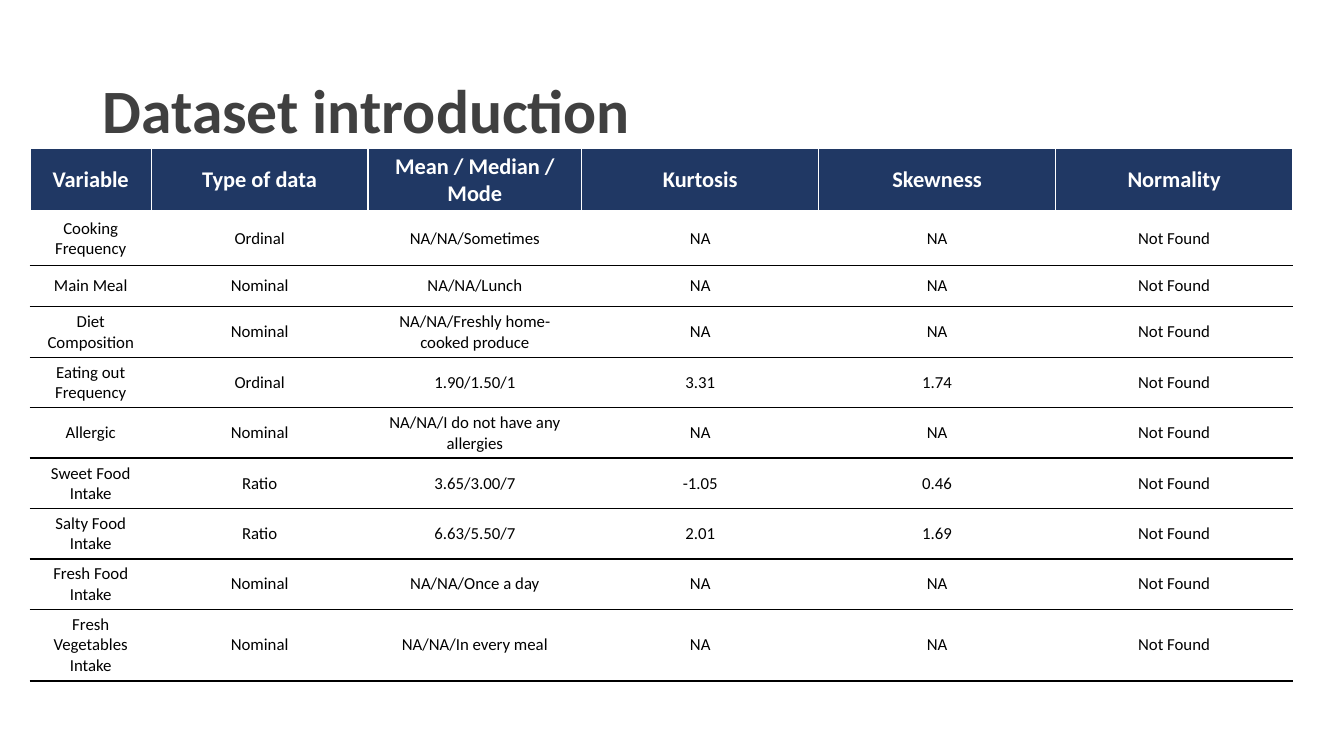
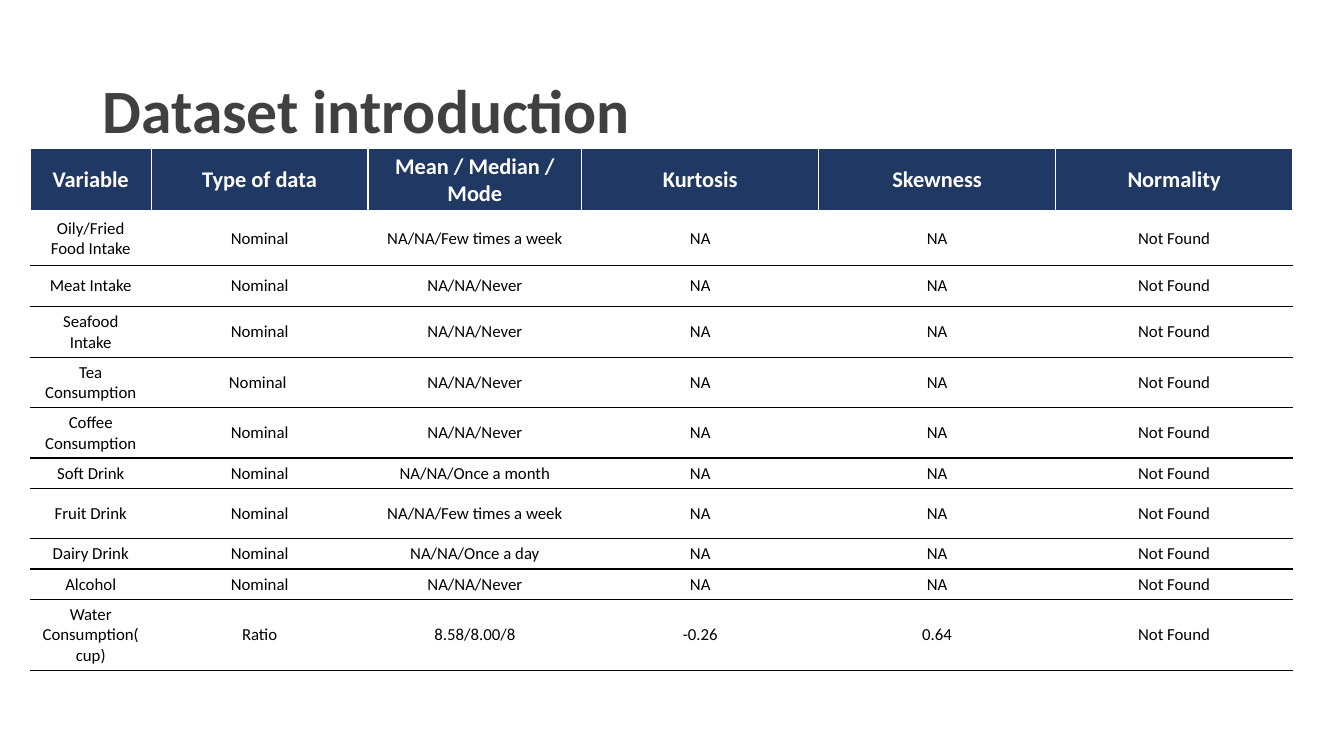
from dataclasses import dataclass
from lxml.etree import SubElement
from pptx import Presentation
from pptx.dml.color import RGBColor as RGB
from pptx.enum.text import MSO_ANCHOR as ANCHOR, PP_ALIGN as ALIGN
from pptx.oxml.ns import qn
from pptx.util import Inches, Pt


@dataclass(frozen=True)
class Theme:
    font: str = "Calibri"
    title: str = "404040"
    navy: str = "203864"
    white: str = "FFFFFF"
    black: str = "000000"
    title_size: int = 44
    head_size: int = 16
    body_size: int = 12


T = Theme()


def style(p, size, color, bold):
    p.font.name, p.font.size, p.font.bold = T.font, Pt(size), bold
    p.font.color.rgb = RGB.from_string(color)


def set_borders(cell, **sides):
    tcPr = cell._tc.get_or_add_tcPr()
    for i, side in enumerate("LRTB"):
        color, width = sides.get(side, (T.white, 1))
        ln = SubElement(tcPr, qn(f"a:ln{side}"), w=str(Pt(width)))
        SubElement(SubElement(ln, qn("a:solidFill")), qn("a:srgbClr"), val=color)
        tcPr.insert(i, ln)


HEAD = ["Variable", "Type of data", "Mean / Median / Mode", "Kurtosis", "Skewness", "Normality"]
COLS = [1.2, 2.15, 2.12, 2.35, 2.35, 2.35]
HEAD_ROW = 0.63
NO_SHAPE = ("NA", "NA")

SLIDES = [
    [
        (0.53, "Cooking Frequency", "Ordinal", "NA/NA/Sometimes", *NO_SHAPE),
        (0.41, "Main Meal", "Nominal", "NA/NA/Lunch", *NO_SHAPE),
        (0.5, "Diet Composition", "Nominal", "NA/NA/Freshly home-cooked produce", *NO_SHAPE),
        (0.5, "Eating out Frequency", "Ordinal", "1.90/1.50/1", "3.31", "1.74"),
        (0.5, "Allergic", "Nominal", "NA/NA/I do not have any allergies", *NO_SHAPE),
        (0.5, "Sweet Food Intake", "Ratio", "3.65/3.00/7", "-1.05", "0.46"),
        (0.5, "Salty Food\nIntake", "Ratio", "6.63/5.50/7", "2.01", "1.69"),
        (0.5, "Fresh Food Intake", "Nominal", "NA/NA/Once a day", *NO_SHAPE),
        (0.71, "Fresh Vegetables Intake", "Nominal", "NA/NA/In every meal", *NO_SHAPE),
    ],
    [
        (0.53, "Oily/Fried Food Intake", "Nominal", "NA/NA/Few times a week", *NO_SHAPE),
        (0.41, "Meat Intake", "Nominal", "NA/NA/Never", *NO_SHAPE),
        (0.39, "Seafood Intake", "Nominal", "NA/NA/Never", *NO_SHAPE),
        (0.5, "Tea Consumption", "Nominal ", "NA/NA/Never", *NO_SHAPE),
        (0.5, "Coffee Consumption", "Nominal", "NA/NA/Never", *NO_SHAPE),
        (0.3, "Soft Drink", "Nominal", "NA/NA/Once a month", *NO_SHAPE),
        (0.5, "Fruit Drink", "Nominal", "NA/NA/Few times a week", *NO_SHAPE),
        (0.3, "Dairy Drink", "Nominal", "NA/NA/Once a day", *NO_SHAPE),
        (0.3, "Alcohol", "Nominal", "NA/NA/Never", *NO_SHAPE),
        (0.71, "Water Consumption(cup)", "Ratio", "8.58/8.00/8", "-0.26", "0.64"),
    ],
]

prs = Presentation()
prs.slide_width, prs.slide_height = Inches(13.33), Inches(7.5)

for variables in SLIDES:
    s = prs.slides.add_slide(prs.slide_layouts[6])

    sp = s.shapes.add_textbox(Inches(0.92), Inches(0.4), Inches(11.5), Inches(1.45))
    tf = sp.text_frame
    tf.word_wrap, tf.vertical_anchor = True, ANCHOR.MIDDLE
    p = tf.paragraphs[0]
    p.text, p.line_spacing = "Dataset introduction", 0.9
    style(p, T.title_size, T.title, True)

    rows = [HEAD] + [[*values, "Not Found"] for _, *values in variables]
    heights = [HEAD_ROW] + [v[0] for v in variables]
    table = s.shapes.add_table(len(rows), len(COLS), Inches(0.3), Inches(1.47),
                               Inches(sum(COLS)), Inches(sum(heights))).table
    table.horz_banding = False
    for col, width in zip(table.columns, COLS):
        col.width = Inches(width)
    for r, (texts, height) in enumerate(zip(rows, heights)):
        table.rows[r].height = Inches(height)
        head = r == 0
        rule = (T.black, 1)
        for c, text in enumerate(texts):
            cell = table.cell(r, c)
            cell.text, cell.vertical_anchor = text, ANCHOR.MIDDLE
            cell.fill.solid()
            cell.fill.fore_color.rgb = RGB.from_string(T.navy if head else T.white)
            for p in cell.text_frame.paragraphs:
                p.alignment = ALIGN.CENTER
                if head:
                    style(p, T.head_size, T.white, True)
                else:
                    style(p, T.body_size, T.black, False)
            if head:
                set_borders(cell, B=(T.white, 3))
            elif r == 1:
                set_borders(cell, B=rule)
            else:
                set_borders(cell, T=rule, B=rule)

prs.save("out.pptx")
